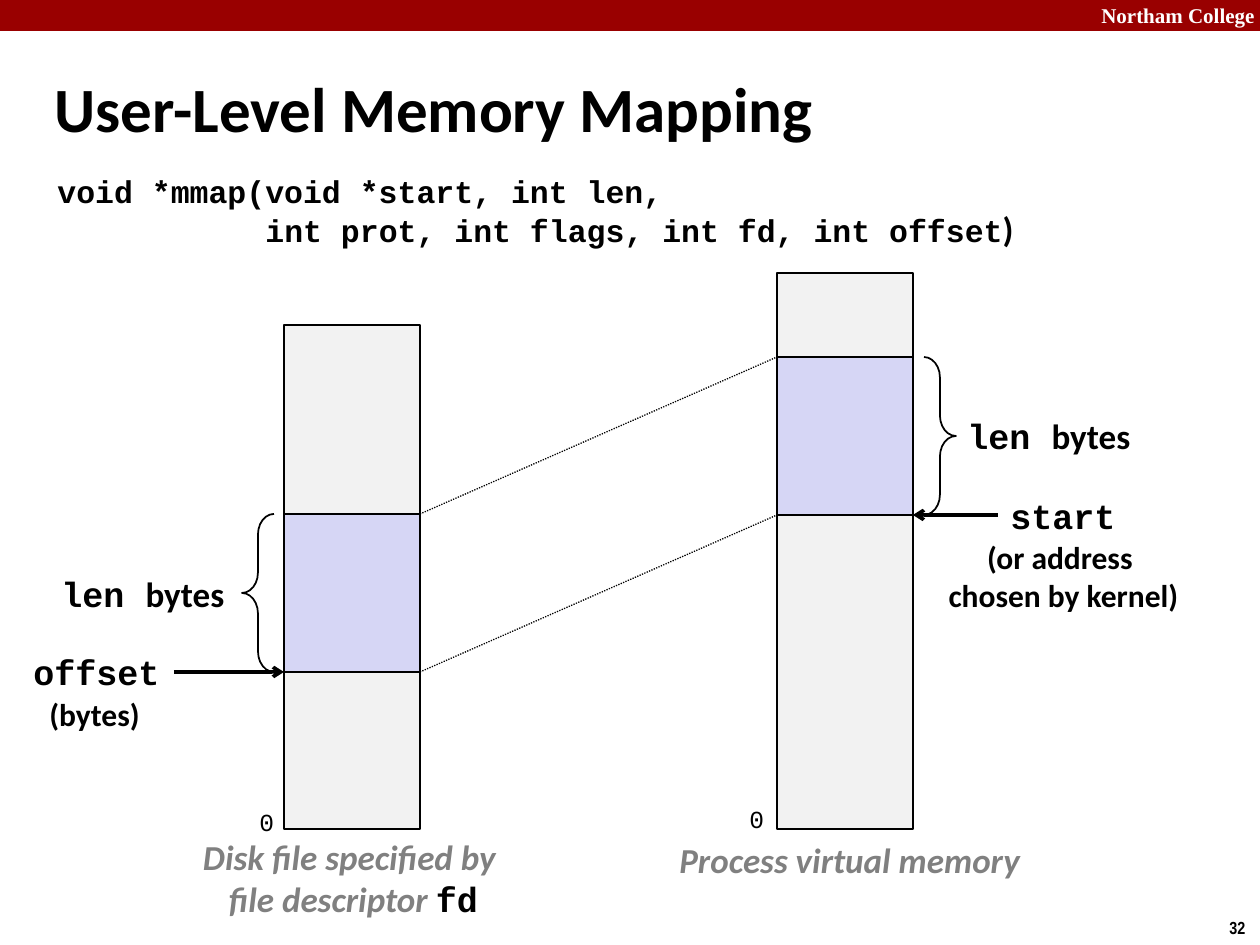
from dataclasses import dataclass
from lxml.etree import SubElement
from pptx import Presentation
from pptx.dml.color import RGBColor
from pptx.enum.dml import MSO_LINE as Dash
from pptx.enum.shapes import MSO_CONNECTOR as Connector, MSO_SHAPE as Shape
from pptx.enum.text import MSO_ANCHOR as Anchor, MSO_AUTO_SIZE as AutoSize, PP_ALIGN as Align
from pptx.oxml.ns import qn
from pptx.util import Pt

PIXEL = 914400 // 126
BLACK = RGBColor(0, 0, 0)
WHITE = RGBColor(255, 255, 255)
GRAY = RGBColor(128, 128, 128)
RED = RGBColor(0x99, 0, 0)
PALE = RGBColor(0xF2, 0xF2, 0xF2)
LILAC = RGBColor(0xD6, 0xD6, 0xF5)


@dataclass
class Style:
    font: str
    size: int
    color: RGBColor = BLACK
    bold: bool = True
    italic: bool = False


HEADER = Style("Times New Roman", 12, WHITE)
PAGE = Style("Arial Narrow", 10)
TITLE = Style("Calibri", 36)
CODE = Style("Courier New", 18)
NAME = Style("Courier New", 20)
WORD = Style("Calibri", 20)
NOTE = Style("Calibri", 18)
CAPTION = Style("Calibri", 20, GRAY, italic=True)
ZERO = Style("Courier New", 14, bold=False)


class Canvas:
    """Draws styled elements on one slide, with lengths in pixels."""

    def __init__(self, slide):
        self.shapes = slide.shapes

    def shape(self, kind, box, fill=None, line=BLACK):
        shape = self.shapes.add_shape(kind, *(value * PIXEL for value in box))
        shape.shadow.inherit = False
        if fill is None:
            shape.fill.background()
        else:
            shape.fill.solid()
            shape.fill.fore_color.rgb = fill
        if line is None:
            shape.line.fill.background()
        else:
            shape.line.color.rgb = line
            shape.line.width = Pt(1)
        return shape

    def brace(self, kind, left, top):
        brace = self.shape(kind, (left, top, 32, MAPPED))
        brace.adjustments[0] = 0.64

    def line(self, start, end, width, dash=None, arrow=False):
        ends = (value * PIXEL for value in (*start, *end))
        line = self.shapes.add_connector(Connector.STRAIGHT, *ends)
        line.line.color.rgb = BLACK
        line.line.width = Pt(width)
        if dash is not None:
            line.line.dash_style = dash
        properties = line._element.spPr
        if arrow:
            SubElement(properties.find(qn("a:ln")), qn("a:tailEnd"), type="arrow")
        SubElement(properties, qn("a:effectLst"))

    def text(self, box, *lines, align=Align.LEFT, wrap=False, anchor=Anchor.TOP):
        shape = self.shapes.add_textbox(*(value * PIXEL for value in box))
        frame = shape.text_frame
        frame.word_wrap = wrap
        frame.auto_size = AutoSize.NONE if wrap else AutoSize.SHAPE_TO_FIT_TEXT
        frame.vertical_anchor = anchor
        for number, runs in enumerate(lines):
            paragraph = frame.add_paragraph() if number else frame.paragraphs[0]
            paragraph.alignment = align
            for words, style in runs:
                run = paragraph.add_run()
                run.text = words
                font = run.font
                font.name, font.size = style.font, Pt(style.size)
                font.bold, font.italic = style.bold, style.italic
                font.color.rgb = style.color
        return frame


presentation = Presentation()
presentation.slide_width = 1260 * PIXEL
presentation.slide_height = 945 * PIXEL
canvas = Canvas(presentation.slides.add_slide(presentation.slide_layouts[6]))

canvas.shape(Shape.RECTANGLE, (0, 0, 1260, 31), RED, None)
canvas.text((1089, -4, 180, 38), [("Northam College", HEADER)], wrap=True)
canvas.text((1217, 911, 43, 34), [("32", PAGE)])
canvas.text((42, 68, 1000, 79), [("User-Level Memory Mapping", TITLE)],
            wrap=True, anchor=Anchor.MIDDLE)
signature = canvas.text(
    (45, 169, 1145, 115),
    [("void *mmap(void *start, int len,", CODE)],
    [("int prot, int flags, int fd, int offset", CODE), (")", WORD)],
    wrap=True)
for paragraph in signature.paragraphs:
    paragraph.line_spacing = 0.94
signature.paragraphs[1]._p.get_or_add_pPr().set("marL", str(208 * PIXEL))

WIDTH, MAPPED, BOTTOM = 136, 198, 829
FILE_LEFT, FILE_MAPPED = 284, 514
MEMORY_LEFT, MEMORY_MAPPED = 777, 357
MAPPED = 158
for left, top, mapped in ((FILE_LEFT, 325, FILE_MAPPED), (MEMORY_LEFT, 273, MEMORY_MAPPED)):
    canvas.shape(Shape.RECTANGLE, (left, top, WIDTH, BOTTOM - top), PALE)
    canvas.shape(Shape.RECTANGLE, (left, mapped, WIDTH, MAPPED), LILAC)
for drop in (0, MAPPED):
    canvas.line((FILE_LEFT + WIDTH, FILE_MAPPED + drop),
                (MEMORY_LEFT, MEMORY_MAPPED + drop), 0.75, Dash.ROUND_DOT)

canvas.brace(Shape.RIGHT_BRACE, 924, MEMORY_MAPPED)
canvas.brace(Shape.LEFT_BRACE, 242, FILE_MAPPED)
for left, top in ((955, 408), (49, 566)):
    canvas.text((left, top, 190, 55), [("len ", NAME), ("bytes", WORD)])
canvas.line((998, 515), (MEMORY_LEFT + WIDTH, 515), 2, arrow=True)
canvas.line((174, 672), (FILE_LEFT, 672), 2, arrow=True)

canvas.text((998, 488, 131, 55), [("start", NAME)])
canvas.text((935, 532, 257, 89), [("(or address ", NOTE)], [("chosen by kernel)", NOTE)],
            align=Align.CENTER)
canvas.text((21, 644, 152, 55), [("offset", NAME)])
canvas.text((37, 689, 116, 50), [("(bytes)", NOTE)])
canvas.text((667, 832, 368, 55), [("Process virtual memory", CAPTION)])
canvas.text((189, 829, 329, 97), [("Disk file specified by ", CAPTION)],
            [("file descriptor ", CAPTION), ("fd", NAME)], align=Align.CENTER)
for left, top in ((247, 801), (737, 798)):
    canvas.text((left, top, 40, 43), [("0", ZERO)])

presentation.save("out.pptx")
